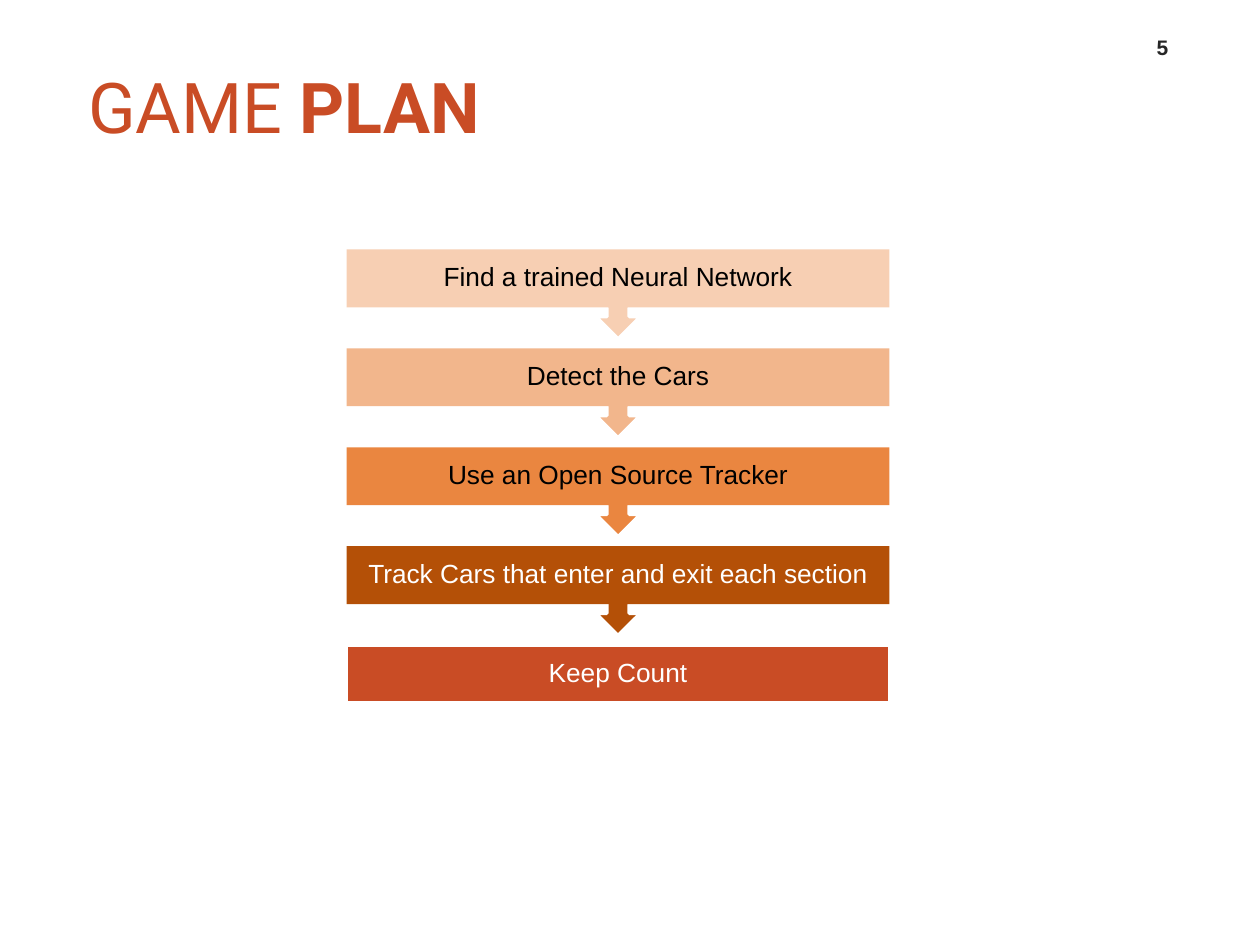
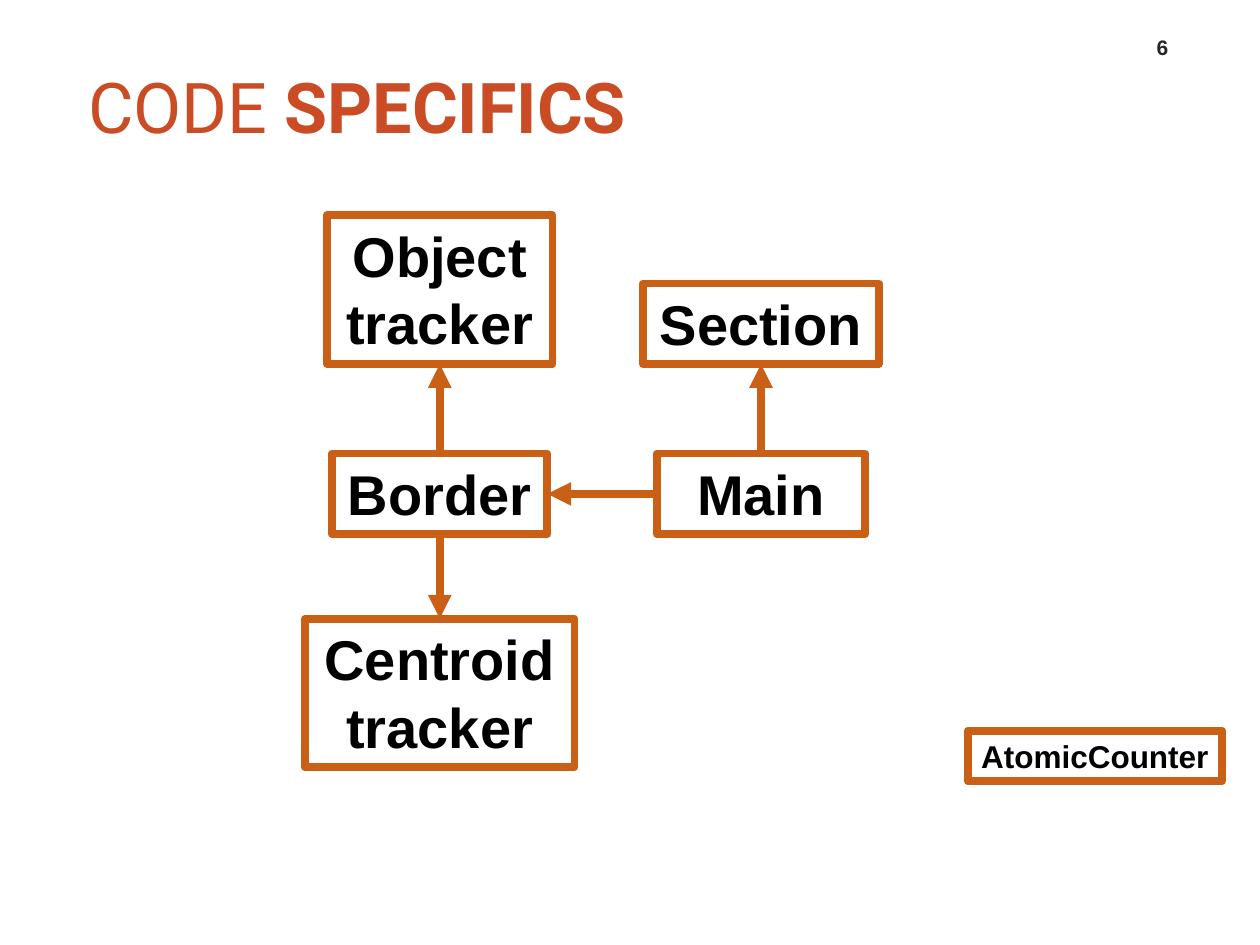
import pptx
import pptx.util
import pptx.dml.color
import pptx.enum.shapes
import pptx.enum.text
import pptx.oxml.ns
import lxml.etree
from dataclasses import dataclass

Inches = pptx.util.Inches
Pt = pptx.util.Pt
SHAPE = pptx.enum.shapes.MSO_SHAPE
ANCHOR = pptx.enum.text.MSO_ANCHOR
ALIGN = pptx.enum.text.PP_ALIGN


@dataclass(frozen=True)
class Theme:
    accent: str = "C94C25"
    outline: str = "C96016"
    black: str = "000000"
    white: str = "FFFFFF"
    number: str = "262626"
    title_font: str = "Roboto"
    body_font: str = "Arial"
    title_size: float = 40
    number_size: float = 12
    step_size: float = 15
    class_size: float = 32
    helper_size: float = 18
    step_line: float = 2
    class_line: float = 4.5


THEME = Theme()

# Label, fill and text colour of each step, from top to bottom
STEPS = [
    ("Find a trained Neural Network", "F7CFB3", THEME.black),
    ("Detect the Cars", "F2B68C", THEME.black),
    ("Use an Open Source Tracker", "EA8640", THEME.black),
    ("Track Cars that enter and exit each section", "B45007", THEME.white),
    ("Keep Count", THEME.accent, THEME.white),
]
STEP_LEFT, STEP_TOP, STEP_PITCH = 2.75, 1.98, 0.785
STEP_WIDTH, STEP_HEIGHT, CALLOUT_HEIGHT = 4.31, 0.46, 0.71

# Column centres and row tops of the class diagram
TRACKER_X, MAIN_X = 3.49, 6.04
CLASS_ROW, CLASS_HEIGHT, TALL_HEIGHT = 3.6, 0.64, 1.18
UPPER_BOTTOM, LOWER_TOP = 2.89, 4.91
TOP, LEFT, BOTTOM, RIGHT = range(4)


def rgb(value):
    return pptx.dml.color.RGBColor.from_string(value)


def style_font(font, name, size, color, bold=False):
    font.name = name
    font.size = Pt(size)
    font.bold = bold
    font.color.rgb = rgb(color)


def style_line(line, color, width):
    line.color.rgb = rgb(color)
    line.width = Pt(width)


def write_centred(shape, text, size, color, bold=False):
    shape.text_frame.word_wrap = True
    paragraph = shape.text_frame.paragraphs[0]
    paragraph.text = text
    paragraph.alignment = ALIGN.CENTER
    style_font(paragraph.font, THEME.body_font, size, color, bold)
    return paragraph


def add_plain_shape(slide, preset, left, top, width, height, fill=None):
    shape = slide.shapes.add_shape(
        preset, Inches(left), Inches(top), Inches(width), Inches(height))
    shape.shadow.inherit = False
    if fill:
        shape.fill.solid()
        shape.fill.fore_color.rgb = rgb(fill)
    else:
        shape.fill.background()
    shape.line.fill.background()
    return shape


# Shared slide parts
def add_titled_slide(deck, light_word, bold_word, number):
    slide = deck.slides.add_slide(deck.slide_layouts[6])
    title = slide.shapes.add_textbox(
        Inches(0.5), Inches(0.4), Inches(5.33), Inches(0.87))
    frame = title.text_frame
    frame.word_wrap = True
    frame.vertical_anchor = ANCHOR.MIDDLE
    frame.margin_left, frame.margin_right = Inches(0.2), 0
    for word, bold in ((light_word + " ", False), (bold_word, True)):
        run = frame.paragraphs[0].add_run()
        run.text = word
        style_font(run.font, THEME.title_font, THEME.title_size,
                   THEME.accent, bold)

    page = slide.shapes.add_textbox(
        Inches(8.95), Inches(0.19), Inches(0.55), Inches(0.33))
    page.text_frame.vertical_anchor = ANCHOR.BOTTOM
    write_centred(page, str(number), THEME.number_size, THEME.number, True)
    return slide


# Process steps
def add_step(slide, top, label, fill, text_color, is_last):
    if not is_last:
        callout = add_plain_shape(slide, SHAPE.UP_ARROW_CALLOUT, STEP_LEFT,
                                  top, STEP_WIDTH, CALLOUT_HEIGHT, fill)
        callout.rotation = 180
        style_line(callout.line, THEME.white, THEME.step_line)
    step = add_plain_shape(slide, SHAPE.RECTANGLE, STEP_LEFT, top,
                           STEP_WIDTH, STEP_HEIGHT, fill)
    if is_last:
        style_line(step.line, THEME.white, THEME.step_line)
    frame = step.text_frame
    frame.margin_left = frame.margin_right = Inches(0.12)
    frame.margin_top = frame.margin_bottom = Inches(0.12)
    paragraph = write_centred(step, label, THEME.step_size, text_color)
    paragraph.line_spacing = 0.9


# Class diagram
def add_class_box(slide, name, centre, top, width, height=CLASS_HEIGHT,
                  size=THEME.class_size):
    box = add_plain_shape(slide, SHAPE.RECTANGLE, centre - width / 2, top,
                          width, height)
    style_line(box.line, THEME.outline, THEME.class_line)
    box.text_frame.vertical_anchor = ANCHOR.TOP
    write_centred(box, name, size, THEME.black, True)
    return box


def add_arrow(slide, source, source_side, target, target_side):
    arrow = slide.shapes.add_connector(
        pptx.enum.shapes.MSO_CONNECTOR.STRAIGHT, 0, 0, 0, 0)
    arrow.begin_connect(source, source_side)
    arrow.end_connect(target, target_side)
    style_line(arrow.line, THEME.outline, THEME.class_line)
    qn = pptx.oxml.ns.qn
    line = arrow.line._get_or_add_ln()
    lxml.etree.SubElement(line, qn("a:tailEnd"), type="triangle")
    lxml.etree.SubElement(arrow._element.spPr, qn("a:effectLst"))


def build_game_plan(deck):
    slide = add_titled_slide(deck, "GAME", "PLAN", 5)
    for index, step in enumerate(STEPS):
        add_step(slide, STEP_TOP + index * STEP_PITCH, *step,
                 is_last=index == len(STEPS) - 1)


def build_code_specifics(deck):
    slide = add_titled_slide(deck, "CODE", "SPECIFICS", 6)
    border = add_class_box(slide, "Border", TRACKER_X, CLASS_ROW, 1.71)
    main_class = add_class_box(slide, "Main", MAIN_X, CLASS_ROW, 1.65)
    section = add_class_box(slide, "Section", MAIN_X,
                            UPPER_BOTTOM - CLASS_HEIGHT, 1.87)
    object_tracker = add_class_box(slide, "Object tracker", TRACKER_X,
                                   UPPER_BOTTOM - TALL_HEIGHT, 1.79,
                                   TALL_HEIGHT)
    centroid_tracker = add_class_box(slide, "Centroid tracker", TRACKER_X,
                                     LOWER_TOP, 2.14, TALL_HEIGHT)
    add_class_box(slide, "AtomicCounter", 8.69, 5.8, 2.02, 0.4,
                  THEME.helper_size)

    add_arrow(slide, main_class, LEFT, border, RIGHT)
    add_arrow(slide, main_class, TOP, section, BOTTOM)
    add_arrow(slide, border, TOP, object_tracker, BOTTOM)
    add_arrow(slide, border, BOTTOM, centroid_tracker, TOP)


def main():
    deck = pptx.Presentation()
    deck.slide_width, deck.slide_height = Inches(10), Inches(7.5)
    build_game_plan(deck)
    build_code_specifics(deck)
    deck.save("out.pptx")


if __name__ == "__main__":
    main()
